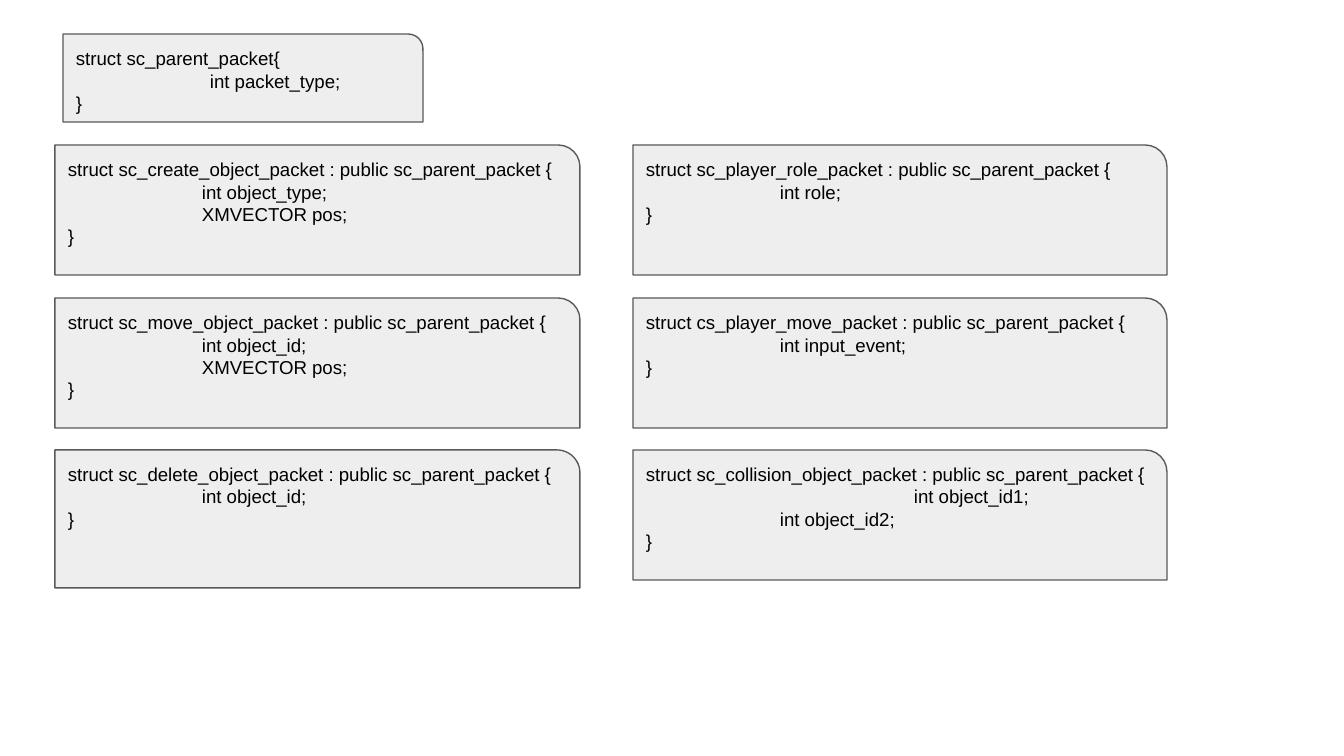
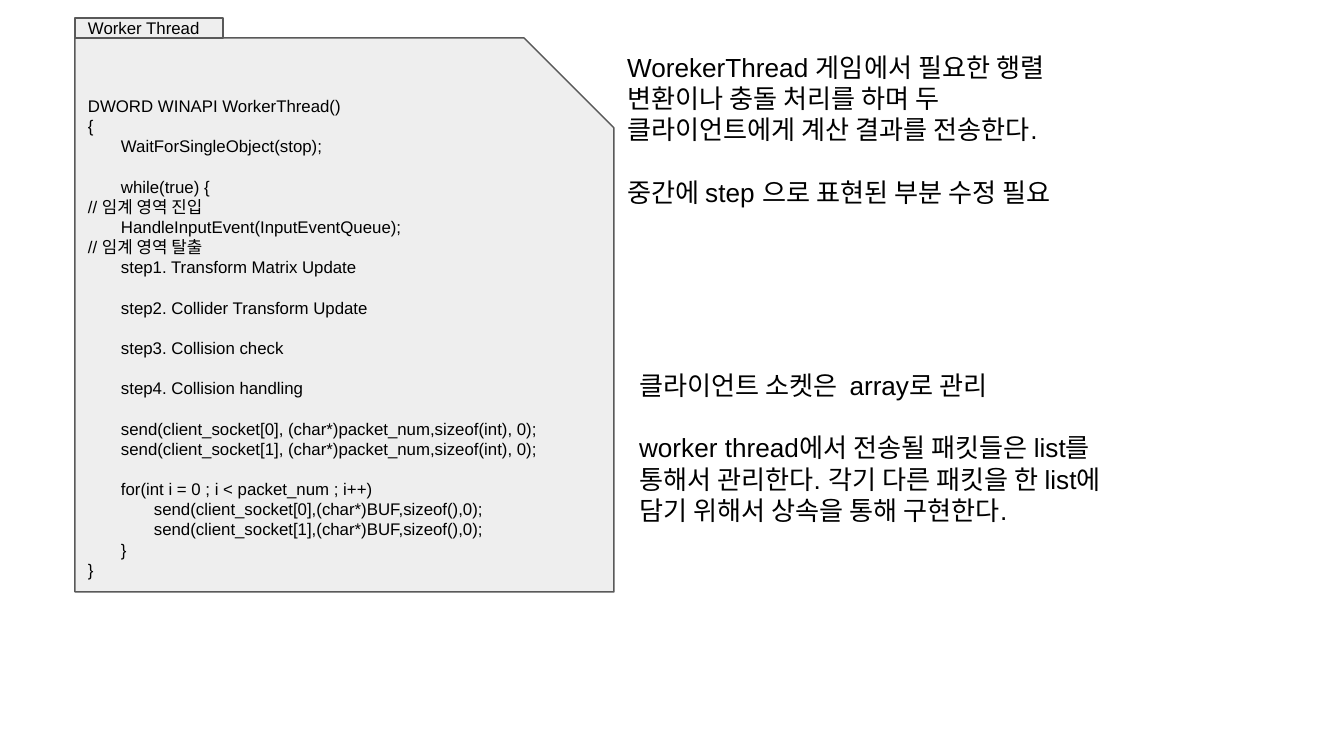
"""Build two slides on packet structures and the worker thread."""
from dataclasses import dataclass

from pptx import Presentation, util as u
from pptx.dml.color import RGBColor
from pptx.enum import shapes, text


@dataclass(frozen=True)
class Theme:
    font: str = "Arial"
    ink: str = "000000"
    panel: str = "EEEEEE"
    border: str = "595959"
    border_width: float = 0.75
    packet_size: int = 10
    code_size: int = 9
    note_size: int = 14
    line_height: float = 1.2
    inset: int = 13
    packet_tab: int = 134
    code_tab: int = 33


def px(n):
    return u.Emu(round(n * 914400 / 134.4))


def rgb(value):
    return RGBColor.from_string(value)


class Deck:
    def __init__(self, theme):
        self.theme = theme
        self.prs = Presentation()
        self.prs.slide_width, self.prs.slide_height = px(1344), px(756)
        self.s = None

    def slide(self):
        self.s = self.prs.slides.add_slide(self.prs.slide_layouts[6])

    def set_lines(self, sp, lines, size, tab=0, anchor=text.MSO_ANCHOR.TOP):
        t, tf = self.theme, sp.text_frame
        tf.word_wrap = True
        tf.vertical_anchor = anchor
        tf.margin_left = tf.margin_right = px(t.inset)
        tf.margin_top = tf.margin_bottom = px(t.inset)
        for i, line in enumerate(lines):
            p = tf.paragraphs[0] if i == 0 else tf.add_paragraph()
            body = line.lstrip("\n")
            p.text = body.lstrip("\t")
            p.alignment = text.PP_ALIGN.LEFT
            p.line_spacing = u.Pt(size * t.line_height)
            if body != line:
                p.space_before = u.Pt(size * t.line_height)
            level = len(body) - len(p.text)
            if level:
                p._p.get_or_add_pPr().set("marL", str(px(level * tab)))
            for r in p.runs:
                r.font.name, r.font.size = t.font, u.Pt(size)
                r.font.color.rgb = rgb(t.ink)

    def panel(self, kind, box, lines, size, **style):
        t = self.theme
        sp = self.s.shapes.add_shape(kind, *map(px, box))
        sp.shadow.inherit = False
        sp.fill.solid()
        sp.fill.fore_color.rgb = rgb(t.panel)
        sp.line.color.rgb = rgb(t.border)
        sp.line.width = u.Pt(t.border_width)
        self.set_lines(sp, lines, size, **style)

    def packet(self, box, head, fields):
        t = self.theme
        lines = [f"struct {head}{{", *fields, "}"]
        self.panel(shapes.MSO_SHAPE.ROUND_1_RECTANGLE, box, lines,
                   t.packet_size, tab=t.packet_tab)

    def code(self, box, lines):
        t = self.theme
        self.panel(shapes.MSO_SHAPE.SNIP_1_RECTANGLE, box, lines,
                   t.code_size, tab=t.code_tab)

    def label(self, box, caption):
        self.panel(shapes.MSO_SHAPE.RECTANGLE, box, [caption],
                   self.theme.code_size, anchor=text.MSO_ANCHOR.MIDDLE)

    def note(self, box, lines):
        sp = self.s.shapes.add_textbox(*map(px, box))
        self.set_lines(sp, lines, self.theme.note_size)


PACKETS = (
    (55, 525, (
        ("sc_create_object_packet", ["\tint object_type;", "\tXMVECTOR pos;"], 130),
        ("sc_move_object_packet", ["\tint object_id;", "\tXMVECTOR pos;"], 130),
        ("sc_delete_object_packet", ["\tint object_id;"], 138),
    )),
    (633, 534, (
        ("sc_player_role_packet", ["\tint role;"], 130),
        ("cs_player_move_packet", ["\tint input_event;"], 130),
        ("sc_collision_object_packet",
         ["\t\tint object_id1;", "\tint object_id2;"], 130),
    )),
)
ROWS = (145, 298, 450)

WORKER = [
    "DWORD WINAPI WorkerThread()",
    "{",
    "\tWaitForSingleObject(stop);",
    "\n\twhile(true) {",
    "// 임계 영역 진입",
    "\tHandleInputEvent(InputEventQueue);",
    "// 임계 영역 탈출",
    "\tstep1. Transform Matrix Update",
    "\n\tstep2. Collider Transform Update",
    "\n\tstep3. Collision check",
    "\n\tstep4. Collision handling",
    "\n\tsend(client_socket[0], (char*)packet_num,sizeof(int), 0);",
    "\tsend(client_socket[1], (char*)packet_num,sizeof(int), 0);",
    "\n\tfor(int i = 0 ; i < packet_num ; i++)",
    "\t\tsend(client_socket[0],(char*)BUF,sizeof(),0);",
    "\t\tsend(client_socket[1],(char*)BUF,sizeof(),0);",
    "\t}",
    "}",
]

deck = Deck(Theme())

deck.slide()
for left, width, column in PACKETS:
    for top, (name, fields, height) in zip(ROWS, column):
        deck.packet((left, top, width, height),
                    f"{name} : public sc_parent_packet ", fields)
deck.packet((63, 34, 360, 88), "sc_parent_packet", ["\tint packet_type;"])

deck.slide()
deck.code((75, 38, 539, 554), WORKER)
deck.label((75, 18, 148, 20), "Worker Thread")
deck.note((626, 356, 493, 367), [
    "클라이언트 소켓은  array로 관리",
    "\nworker thread에서 전송될 패킷들은 list를 통해서 관리한다. "
    "각기 다른 패킷을 한 list에 담기 위해서 상속을 통해 구현한다.",
])
deck.note((614, 38, 493, 254), [
    "WorekerThread 게임에서 필요한 행렬 변환이나 충돌 처리를 하며 두 "
    "클라이언트에게 계산 결과를 전송한다.",
    "\n중간에 step 으로 표현된 부분 수정 필요",
])

deck.prs.save("out.pptx")
